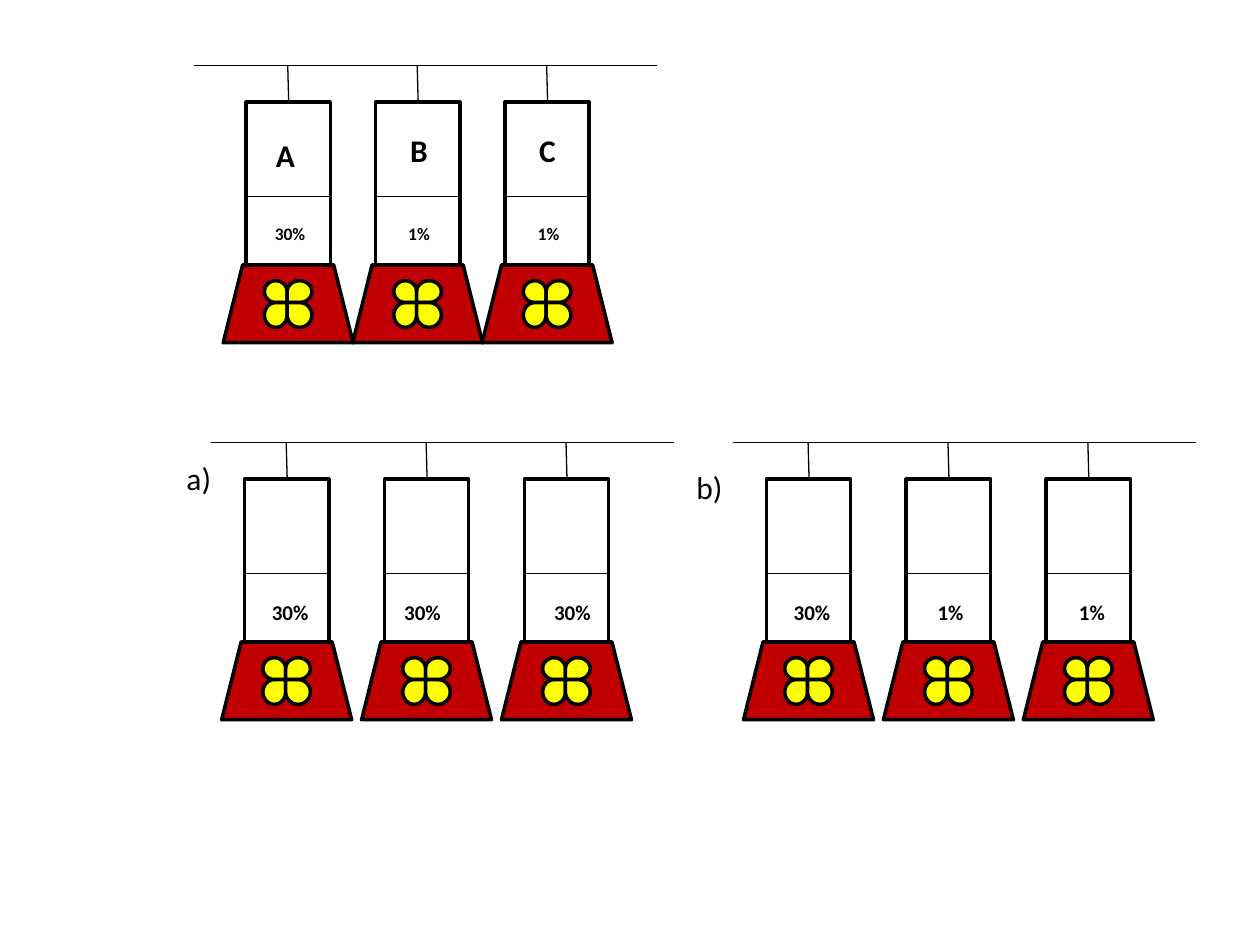
from lxml.etree import SubElement
from pptx import Presentation
from pptx.dml.color import RGBColor as Rgb
from pptx.enum.shapes import MSO_CONNECTOR as Link, MSO_SHAPE as Kind
from pptx.enum.text import MSO_AUTO_SIZE as Fit
from pptx.oxml.ns import qn
from pptx.util import Cm, Pt


def color(code):
    """Turn a hex string into a colour."""
    return Rgb.from_string(code)


def add_text(slide, text, left, top, width, high, size=18, bold=False, wrap=False):
    """Place one line of text."""
    box = slide.shapes.add_textbox(Cm(left), Cm(top), Cm(width), Cm(high))
    frame = box.text_frame
    frame.word_wrap = wrap
    frame.auto_size = Fit.SHAPE_TO_FIT_TEXT
    run = frame.paragraphs[0].add_run()
    run.text = text
    font = run.font
    font.name, font.size, font.bold = "Calibri", Pt(size), bold
    font.color.rgb = color("000000")


def add_shape(parts, kind, left, top, width, high, fill=None, flip=""):
    """Draw a preset shape with a black outline, flipped along the given axes."""
    shape = parts.add_shape(kind, Cm(left), Cm(top), Cm(width), Cm(high))
    shape.shadow.inherit = False
    if fill:
        shape.fill.solid()
        shape.fill.fore_color.rgb = color(fill)
    else:
        shape.fill.background()
    shape.line.color.rgb = color("000000")
    shape.line.width = Pt(2)
    for axis in flip:
        shape.element.spPr.find(qn("a:xfrm")).set("flip" + axis, "1")


def add_line(slide, left, top, right, end):
    """Draw a thin black line."""
    line = slide.shapes.add_connector(Link.STRAIGHT, Cm(left), Cm(top), Cm(right), Cm(end))
    line.line.color.rgb = color("000000")
    line.line.width = Pt(0.75)
    SubElement(line.element.spPr, qn("a:effectLst"))


def add_flower(slide, left, top):
    """Group four petals around one centre."""
    parts = slide.shapes.add_group_shape().shapes
    for y, high, turn in ((0, 0.44, "V"), (0.44, 0.5, "")):
        for x, width, flip in ((0, 0.46, turn), (0.46, 0.5, "H" + turn)):
            add_shape(parts, Kind.TEAR, left + x, top + y, width, high, "FFFF00", flip)


def add_tower(slide, left, top):
    """Draw a tank hanging from a string over its red base."""
    add_shape(slide.shapes, Kind.TRAPEZOID, left, top + 4.02, 2.62, 1.57, "C00000")
    add_flower(slide, left + 0.83, top + 4.34)
    add_shape(slide.shapes, Kind.RECTANGLE, left + 0.46, top + 0.74, 1.7, 3.28)
    add_line(slide, left + 1.32, top + 0.74, left + 1.3, top)
    add_line(slide, left + 0.46, top + 2.64, left + 2.16, top + 2.64)


def add_row(slide, left, top, first, pitch, shares, size):
    """Hang one tower per share from a rail; each share is a text and its indent."""
    add_line(slide, left, top, left + 9.33, top)
    for col, (share, shift) in enumerate(shares):
        spot = left + first + col * pitch
        add_tower(slide, spot, top)
        add_text(slide, share, spot + shift, top + 3.05, 1.4, 0.7, size, True, True)


def main():
    """Build the slide."""
    deck = Presentation()
    deck.slide_width, deck.slide_height = Cm(25.4), Cm(19.05)
    slide = deck.slides.add_slide(deck.slide_layouts[6])

    add_row(slide, 3.91, 1.32, 0.59, 2.61, (("30%", 0.79), ("1%", 0.87), ("1%", 0.87)), 10)
    add_row(slide, 4.25, 8.92, 0.22, 2.82, (("30%", 0.76), ("30%", 0.61), ("30%", 0.81)), 12)
    add_row(slide, 14.77, 8.92, 0.22, 2.82, (("30%", 0.76), ("1%", 0.84), ("1%", 0.87)), 12)

    for name, left, top in (("A", 5.31, 2.62), ("B", 8.02, 2.51), ("C", 10.62, 2.51)):
        add_text(slide, name, left, top, 0.87, 1.03, bold=True)
    for name, left, top in (("a)", 3.51, 9.12), ("b)", 13.79, 9.32)):
        add_text(slide, name, left, top, 1.03, 1.03)
    deck.save("out.pptx")


if __name__ == "__main__":
    main()
